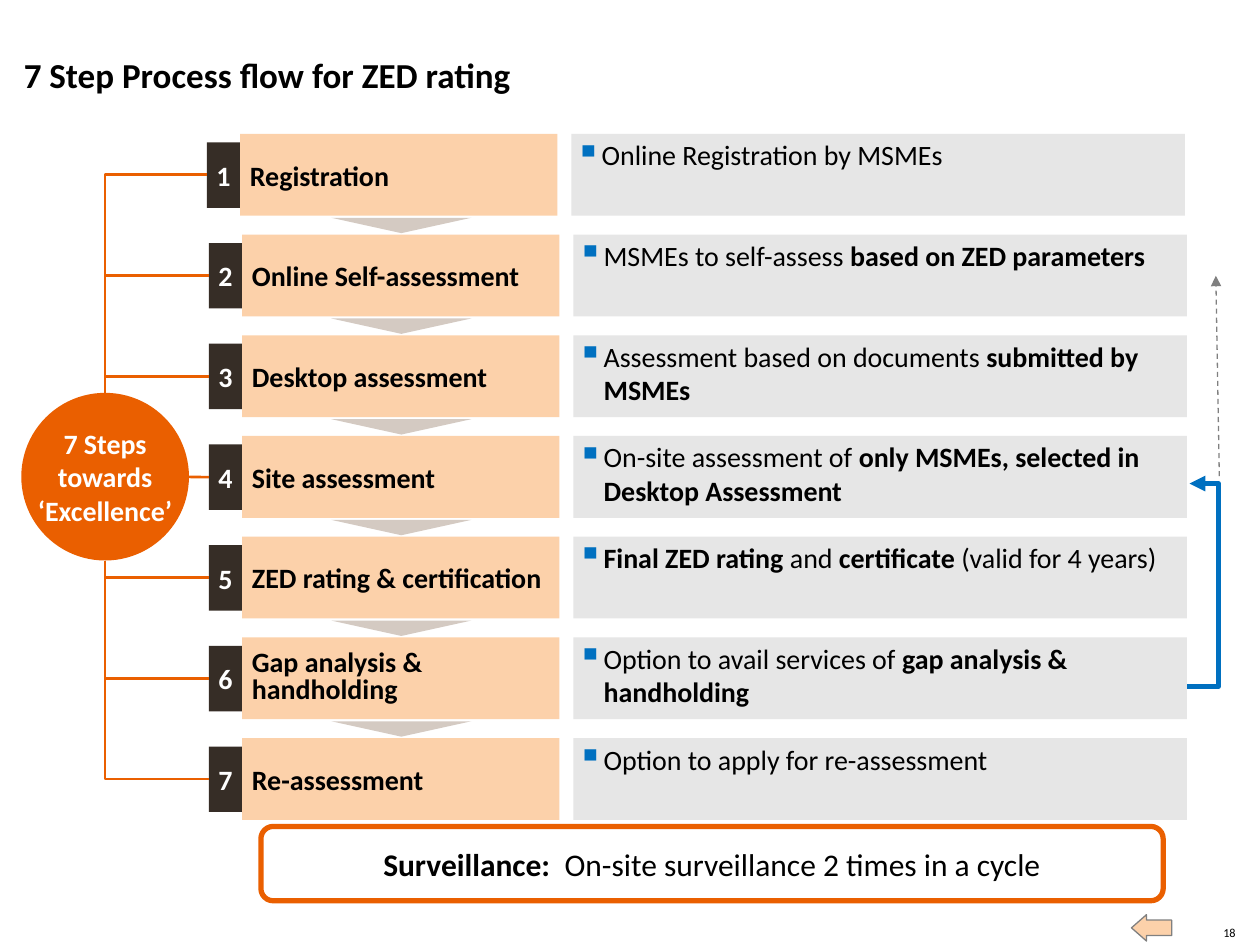
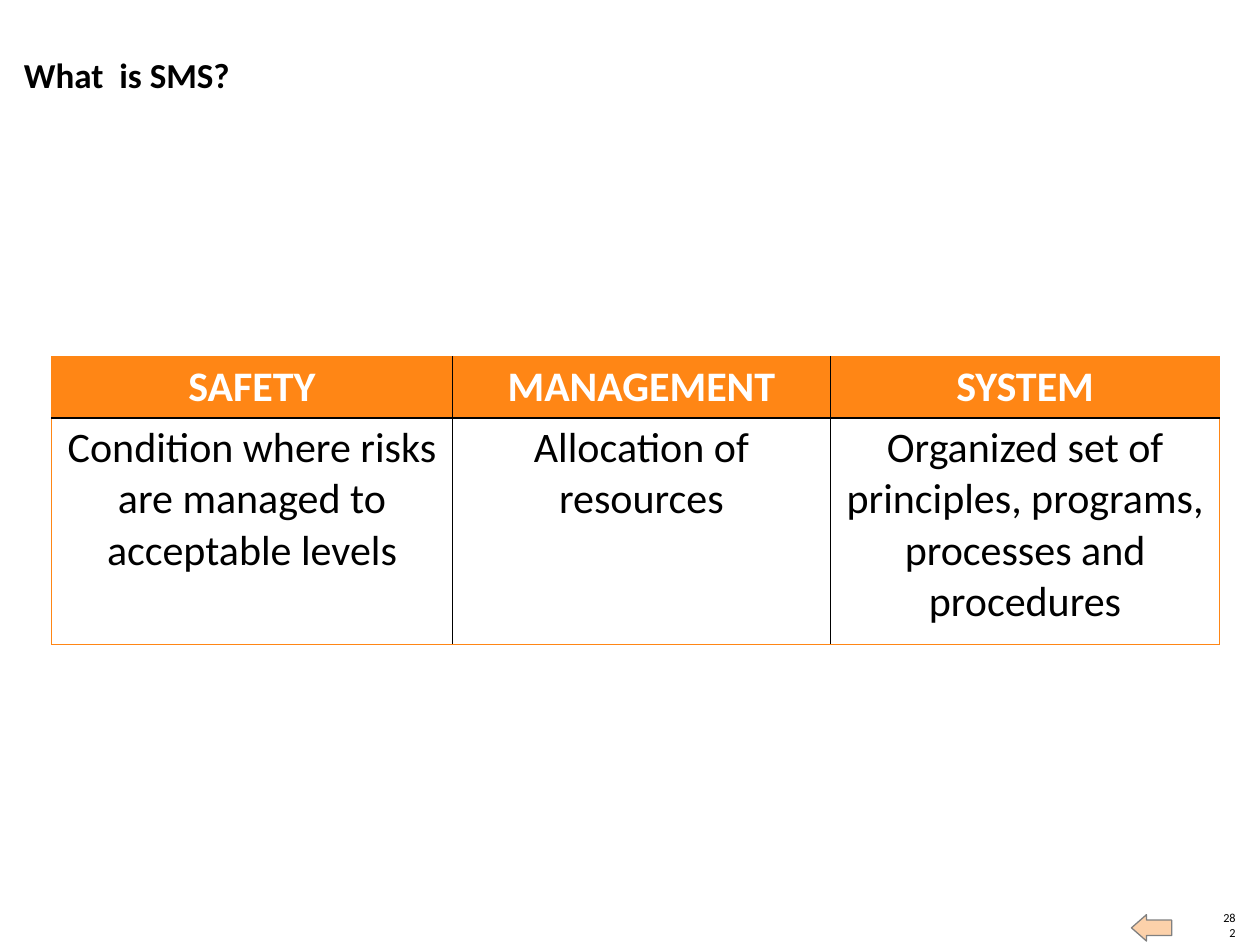
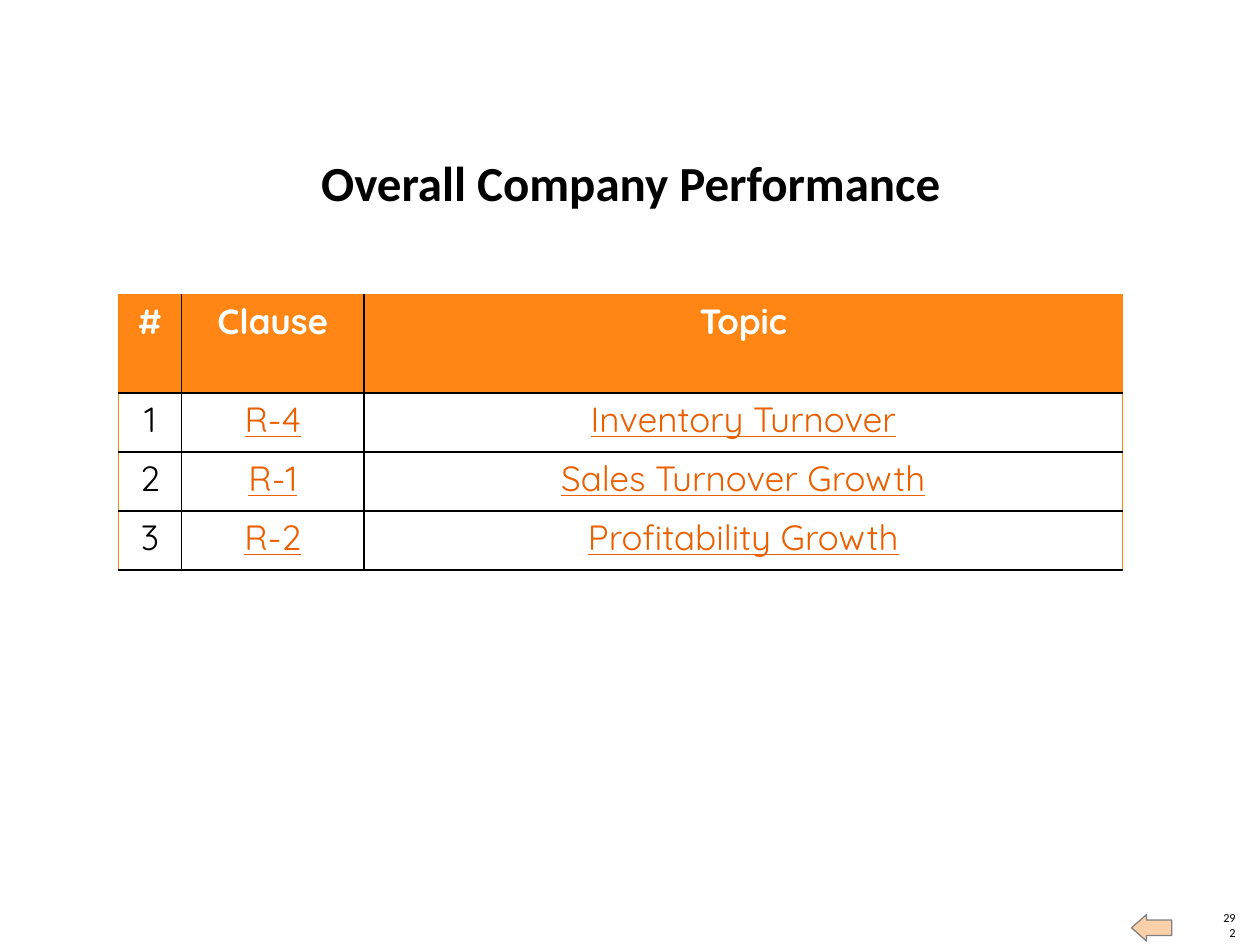
import lxml.etree
import pptx
import pptx.dml.color
import pptx.enum.dml
import pptx.enum.shapes
import pptx.enum.text
import pptx.oxml.ns
import pptx.util

Cm = pptx.util.Cm
Pt = pptx.util.Pt
RGBColor = pptx.dml.color.RGBColor
SHAPE = pptx.enum.shapes.MSO_SHAPE
CONNECTOR = pptx.enum.shapes.MSO_CONNECTOR
ALIGN = pptx.enum.text.PP_ALIGN
ANCHOR = pptx.enum.text.MSO_ANCHOR
qn = pptx.oxml.ns.qn

COLORS = {
    "text": "000000", "white": "FFFFFF", "orange": "EA5F00", "header": "FF8615",
    "peach": "FCD1AA", "taupe": "D4CAC2", "dark": "362D26", "panel": "E6E6E6",
    "blue": "0070C0", "gray": "808080",
}


def add_box(slide, kind, bounds, fill, line=None, line_width=0.75, margin=0.0):
    """Add a preset shape; bounds are left, top, width and height in centimetres."""
    shape = slide.shapes.add_shape(kind, *[Cm(length) for length in bounds])
    shape.shadow.inherit = False
    shape.fill.solid()
    shape.fill.fore_color.rgb = RGBColor.from_string(COLORS[fill])
    if line:
        shape.line.color.rgb = RGBColor.from_string(COLORS[line])
        shape.line.width = Pt(line_width)
    else:
        shape.line.fill.background()
    frame = shape.text_frame
    frame.word_wrap = True
    frame.vertical_anchor = ANCHOR.MIDDLE
    frame.margin_left = frame.margin_right = Cm(margin)
    frame.margin_top = frame.margin_bottom = Cm(margin)
    return shape


def write_text(frame, text, size, color="text", bold=None, align=ALIGN.LEFT, font="Calibri"):
    """Fill the first paragraph; parts between ** marks become bold runs."""
    paragraph = frame.paragraphs[0]
    if "**" in text:
        for index, part in enumerate(text.split("**")):
            if part:
                run = paragraph.add_run()
                run.text = part
                run.font.bold = index % 2 == 1
    else:
        paragraph.text = text
    paragraph.alignment = align
    paragraph.font.name = font
    paragraph.font.size = Pt(size)
    paragraph.font.bold = bold
    paragraph.font.color.rgb = RGBColor.from_string(COLORS[color])
    return paragraph


presentation = pptx.Presentation()
presentation.slide_width = Cm(25.4)
presentation.slide_height = Cm(19.05)

# Titles and footers
left_title = (0.48, 1.07, 19.43, 0.86)
center_title = (3.0, 3.07, 19.43, 1.19)
pages = [
    ("7 Step Process flow for ZED rating", "18", left_title, 20, ALIGN.LEFT),
    ("What  is SMS?", "282", left_title, 20, ALIGN.LEFT),
    ("Overall Company Performance", "292", center_title, 28, ALIGN.CENTER),
]
slides = []
for title_text, page_number, bounds, size, align in pages:
    slide = presentation.slides.add_slide(presentation.slide_layouts[5])
    slides.append(slide)
    title = slide.shapes.title
    title.left, title.top, title.width, title.height = [Cm(length) for length in bounds]
    number_box = slide.shapes.add_textbox(Cm(24.61), Cm(18.64), Cm(0.3), Cm(0.3))
    for frame in (title.text_frame, number_box.text_frame):
        frame.margin_left = frame.margin_right = frame.margin_top = frame.margin_bottom = 0
        frame.vertical_anchor = ANCHOR.BOTTOM
        frame.word_wrap = True
        frame.auto_size = pptx.enum.text.MSO_AUTO_SIZE.NONE
    write_text(title.text_frame, title_text, size, bold=True, align=align)
    write_text(number_box.text_frame, page_number, 7, align=ALIGN.RIGHT)
    arrow = add_box(slide, SHAPE.LEFT_ARROW, (22.81, 18.44, 0.81, 0.53), "peach", "gray")
    arrow.adjustments[0] = 0.59
    arrow.adjustments[1] = 0.57

# Slide 1: process steps
process_slide = slides[0]
steps = [
    ("Registration", "Online Registration by MSMEs"),
    ("Online Self-assessment", "MSMEs to self-assess **based on ZED parameters**"),
    ("Desktop assessment", "Assessment based on documents** submitted by MSMEs**"),
    ("Site assessment",
     "On-site assessment of **only MSMEs, selected in Desktop Assessment**"),
    ("ZED rating & certification",
     "**Final ZED rating **and **certificate **(valid for 4 years)"),
    ("Gap analysis & handholding",
     "Option to avail services of **gap analysis & handholding**"),
    ("Re-assessment", "Option to apply for re-assessment"),
]
first_top, pitch, row_height = 2.7, 2.03, 1.65
circle_left, circle_top, circle_size = 0.43, 7.92, 3.38
circle_center = circle_left + circle_size / 2
middle_step = 3

# Each connector: kind, start, end, colour, width, bend, arrowhead, dashed
connectors = []
number_boxes = []
for index, (heading, detail) in enumerate(steps):
    top = first_top + index * pitch
    number_left = 4.17 if index == 0 else 4.21
    heading_left = number_left + 0.67
    detail_left = number_left + 7.35

    detail_box = add_box(process_slide, SHAPE.RECTANGLE,
                         (detail_left, top, 12.37, row_height), "panel", margin=0.08)
    detail_box.text_frame.vertical_anchor = ANCHOR.TOP
    properties = detail_box.text_frame.paragraphs[0]._p.get_or_add_pPr()
    properties.set("marL", str(Cm(0.53)))
    properties.set("indent", str(-Cm(0.53)))
    bullet_color = lxml.etree.SubElement(properties, qn("a:buClr"))
    lxml.etree.SubElement(bullet_color, qn("a:srgbClr"), val=COLORS["blue"])
    lxml.etree.SubElement(properties, qn("a:buSzPct"), val="125000")
    lxml.etree.SubElement(properties, qn("a:buChar"), char="▪")
    write_text(detail_box.text_frame, detail, 16).level = 1

    number_box = add_box(process_slide, SHAPE.RECTANGLE,
                         (number_left, top + 0.17, 0.67, 1.32), "dark")
    write_text(number_box.text_frame, str(index + 1), 16, "white", True, ALIGN.CENTER)
    number_boxes.append(number_box)

    heading_box = add_box(process_slide, SHAPE.RECTANGLE,
                          (heading_left, top, 6.4, row_height), "peach", margin=0.2)
    paragraph = write_text(heading_box.text_frame, heading, 16, bold=True)
    if heading.startswith("Gap"):
        paragraph.line_spacing = 0.8

    if index < len(steps) - 1:
        triangle = add_box(process_slide, SHAPE.ISOSCELES_TRIANGLE,
                           (6.68, top + 1.69, 2.82, 0.31), "taupe")
        triangle.rotation = 180

    row_center = top + row_height / 2
    if index == middle_step:
        connectors.append((CONNECTOR.STRAIGHT, (circle_left + circle_size, row_center),
                           (number_left, row_center), "orange", 1.5, None, False, False))
    else:
        circle_edge = circle_top if index < middle_step else circle_top + circle_size
        connectors.append((CONNECTOR.ELBOW, (circle_center, circle_edge),
                           (number_left, row_center), "orange", 1.5, 0, False, False))

connectors += [
    (CONNECTOR.ELBOW, (23.93, 13.84), (23.98, 9.75), "blue", 3, 12.6, True, False),
    (CONNECTOR.STRAIGHT, (24.58, 9.6), (24.51, 5.56), "gray", 0.75, None, True, True),
]
for index, (kind, start, end, color, width, bend, arrowhead, dashed) in enumerate(connectors):
    connector = process_slide.shapes.add_connector(
        kind, *[Cm(length) for length in start + end])
    connector.line.color.rgb = RGBColor.from_string(COLORS[color])
    connector.line.width = Pt(width)
    if dashed:
        connector.line.dash_style = pptx.enum.dml.MSO_LINE.DASH
    if arrowhead:
        lxml.etree.SubElement(connector.line._get_or_add_ln(), qn("a:tailEnd"), type="triangle")
    if bend is not None:
        adjustments = connector._element.spPr.find(qn("a:prstGeom")).find(qn("a:avLst"))
        lxml.etree.SubElement(adjustments, qn("a:gd"), name="adj1",
                              fmla=f"val {round(bend * 100000)}")
    lxml.etree.SubElement(connector._element.spPr, qn("a:effectLst"))
    if index == middle_step:
        connector.end_connect(number_boxes[middle_step], 1)

circle = add_box(process_slide, SHAPE.OVAL,
                 (circle_left, circle_top, circle_size, circle_size), "orange")
circle.text_frame.word_wrap = False
write_text(circle.text_frame, "7 Steps\vtowards\v‘Excellence’", 16, "white", True, ALIGN.CENTER)

surveillance = add_box(process_slide, SHAPE.ROUNDED_RECTANGLE, (5.26, 16.66, 18.19, 1.5),
                       "white", "orange", 3, margin=0.2)
write_text(surveillance.text_frame,
           "**Surveillance:  **On-site surveillance 2 times in a cycle", 18, align=ALIGN.CENTER)

# Slides 2 and 3: tables
tables = [
    {"slide": slides[1], "left": 1.04, "top": 7.19, "columns": [8.08, 7.62, 7.85],
     "rows": [1.22, 4.57], "font": "Calibri", "size": 24, "header_anchor": ANCHOR.MIDDLE,
     "bottom": ("header", 0.75), "linked_columns": (),
     "cells": [["SAFETY", "MANAGEMENT", "SYSTEM"],
               ["Condition where risks are managed to acceptable levels",
                "Allocation of resources",
                "Organized set of principles, programs, processes and procedures"]]},
    {"slide": slides[2], "left": 2.39, "top": 5.94, "columns": [1.27, 3.68, 15.29],
     "rows": [1.98, 1.19, 1.19, 1.19], "font": "Quicksand", "size": 20,
     "header_anchor": ANCHOR.TOP, "bottom": ("text", 1), "linked_columns": (1, 2),
     "cells": [["#", "Clause", "Topic"],
               ["1", "R-4", "Inventory Turnover"],
               ["2", "R-1", "Sales Turnover Growth"],
               ["3", "R-2", "Profitability Growth"]]},
]
inner, outer = ("text", 1), ("header", 0.75)
for data in tables:
    row_count, column_count = len(data["rows"]), len(data["columns"])
    table = data["slide"].shapes.add_table(
        row_count, column_count, Cm(data["left"]), Cm(data["top"]),
        Cm(sum(data["columns"])), Cm(sum(data["rows"]))).table
    table.horz_banding = False
    for column, width in zip(table.columns, data["columns"]):
        column.width = Cm(width)
    for row, height in zip(table.rows, data["rows"]):
        row.height = Cm(height)
    for row_index, texts in enumerate(data["cells"]):
        for column_index, text in enumerate(texts):
            cell = table.cell(row_index, column_index)
            is_header = row_index == 0
            is_linked = not is_header and column_index in data["linked_columns"]
            cell.margin_left = cell.margin_right = Cm(0.18)
            cell.margin_top = cell.margin_bottom = Cm(0.1)
            cell.vertical_anchor = data["header_anchor"] if is_header else ANCHOR.TOP
            color = "white" if is_header else "orange" if is_linked else "text"
            paragraph = write_text(cell.text_frame, text, data["size"], color, is_header,
                                   ALIGN.CENTER, data["font"])
            if is_linked:
                paragraph.font.underline = True
            borders = {
                "a:lnL": outer if column_index == 0 else inner,
                "a:lnR": outer if column_index == column_count - 1 else inner,
                "a:lnT": outer if is_header else inner,
                "a:lnB": data["bottom"] if row_index == row_count - 1 else inner,
            }
            for tag, (border_color, border_width) in borders.items():
                border = lxml.etree.SubElement(cell._tc.get_or_add_tcPr(), qn(tag),
                                               w=str(Pt(border_width)))
                border_fill = lxml.etree.SubElement(border, qn("a:solidFill"))
                lxml.etree.SubElement(border_fill, qn("a:srgbClr"), val=COLORS[border_color])
            cell.fill.solid()
            cell.fill.fore_color.rgb = RGBColor.from_string(
                COLORS["header" if is_header else "white"])

presentation.save("out.pptx")
